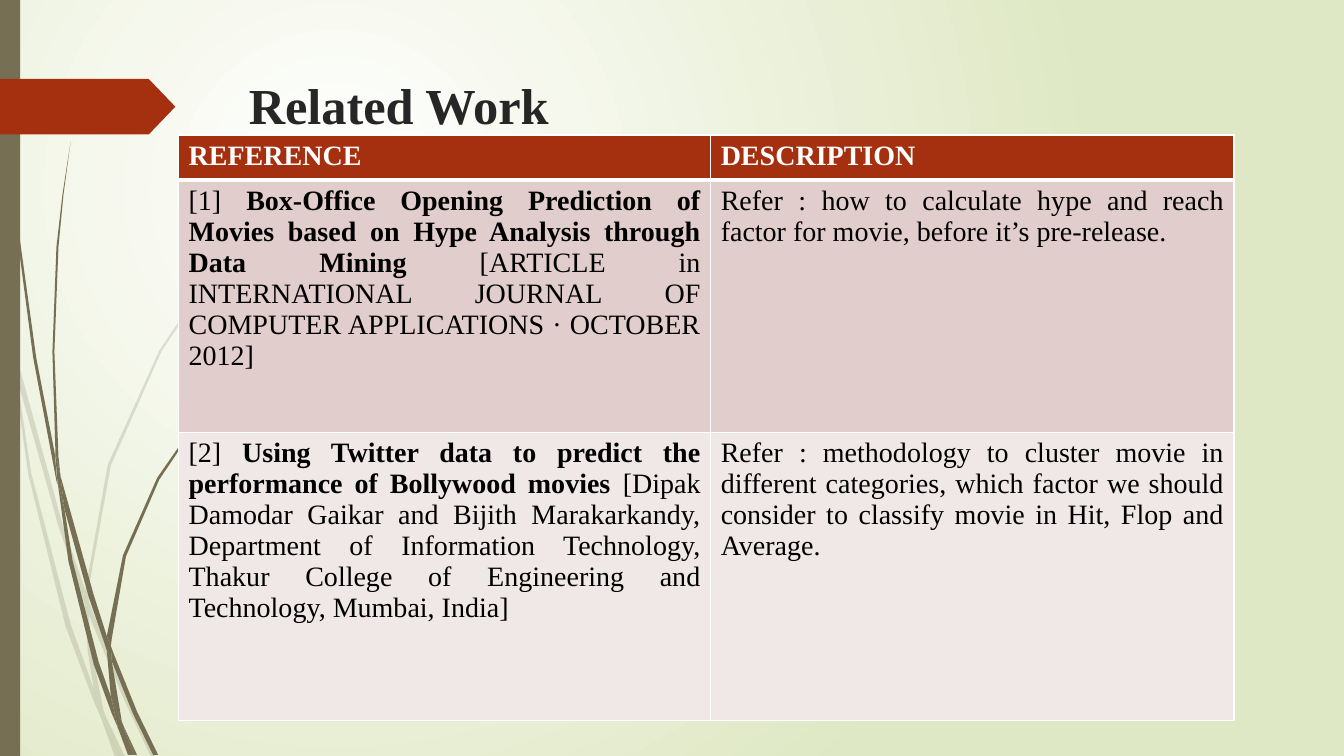
from lxml import etree
from pptx import Presentation
from pptx.dml.color import RGBColor
from pptx.enum.shapes import MSO_SHAPE
from pptx.enum.text import MSO_ANCHOR, PP_ALIGN
from pptx.oxml import parse_xml
from pptx.oxml.ns import nsdecls, qn
from pptx.util import Cm, Pt

RECTANGLE, PENTAGON = MSO_SHAPE.RECTANGLE, MSO_SHAPE.PENTAGON
TOP, JUSTIFY = MSO_ANCHOR.TOP, PP_ALIGN.JUSTIFY
OLIVE, RUST, WHITE, BLACK = "766F54", "A53010", "FFFFFF", "000000"
FONT = "Times New Roman"
BLADE_UNIT = 0.0254

FAINT_BLADES = [
    [(11, 350), (9, 322), (0, 282), (0, 299), (10, 344)],
    [(58, 522), (84, 599), (85, 586), (62, 520), (14, 345), (17, 376)],
    [(92, 607), (88, 596), (88, 610), (123, 694), (150, 751), (155, 751), (127, 692)],
    [(119, 751), (124, 751), (105, 711)],
    [(93, 683), (70, 619), (31, 469), (17, 376), (11, 350), (28, 470), (65, 621), (92, 693),
     (101, 714), (99, 707)],
    [(84, 599), (87, 646), (93, 683), (96, 692), (105, 711), (103, 706), (91, 646), (88, 610),
     (88, 608)],
    [(88, 584), (110, 462), (160, 349), (229, 245), (268, 198), (290, 175), (312, 154), (312, 153),
     (289, 175), (268, 197), (228, 244), (158, 348), (107, 461), (85, 584), (85, 586), (88, 596)],
    [(101, 714), (114, 751), (119, 751)],
    [(88, 608), (88, 610), (88, 596), (85, 586), (84, 599)],
    [(96, 692), (93, 683), (99, 707), (101, 714), (119, 751), (105, 711)],
]
DARK_BLADES = [
    [(7, 110), (17, 233), (33, 355), (56, 477), (57, 481), (55, 457), (55, 453), (36, 355),
     (19, 232), (8, 109), (5, 48), (4, 0), (3, 0), (4, 48)],
    [(88, 592), (106, 645), (106, 633), (106, 631), (93, 590), (60, 472), (64, 505)],
    [(113, 649), (110, 641), (111, 656), (132, 708), (152, 749), (157, 749), (136, 706)],
    [(110, 691), (98, 657), (72, 556), (64, 505), (57, 477), (68, 557), (93, 659), (111, 708),
     (117, 722), (116, 717)],
    [(60, 472), (58, 453), (54, 349), (58, 245), (63, 193), (70, 141), (62, 193), (56, 245),
     (52, 349), (55, 449)],
    [(133, 749), (136, 749), (122, 719)],
    [(57, 477), (64, 505), (60, 472), (55, 449), (55, 453)],
    [(111, 633), (125, 552), (158, 476), (205, 406), (231, 374), (245, 359), (261, 344), (260, 344),
     (245, 358), (231, 373), (204, 405), (156, 474), (122, 551), (106, 631), (110, 641)],
    [(117, 722), (127, 749), (131, 749)],
    [(106, 645), (110, 691), (116, 706), (122, 719), (121, 716), (111, 656), (109, 651)],
    [(106, 645), (109, 651), (111, 656), (110, 641), (106, 631), (106, 633)],
    [(116, 706), (110, 691), (116, 717), (117, 722), (130, 749), (133, 749), (122, 719)],
]
ROWS = [
    (1.14, RUST, WHITE, [[("REFERENCE", True)], [("DESCRIPTION", True)]]),
    (6.36, "E1CDCC", BLACK, [
        [("[1] ", False),
         ("Box-Office Opening Prediction of Movies based on Hype Analysis through Data Mining ", True),
         ("[ARTICLE in INTERNATIONAL JOURNAL OF COMPUTER APPLICATIONS · OCTOBER 2012]", False)],
        [("Refer : how to calculate hype and reach factor for movie, before it’s pre-release.", False)]]),
    (7.25, "F0E8E7", BLACK, [
        [("[2] ", False),
         ("Using Twitter data to predict the performance of Bollywood movies ", True),
         ("[Dipak Damodar Gaikar and Bijith Marakarkandy, Department of Information Technology, "
          "Thakur College of Engineering and Technology, Mumbai, India]", False)],
        [("Refer : methodology to cluster movie in different categories, which factor we should "
          "consider to classify movie in Hit, Flop and Average.", False)]]),
]


def color(value):
    """Turn a hex string into a colour."""
    return RGBColor.from_string(value)


def paint(shape, value):
    """Give a shape a plain fill without line or shadow."""
    shape.shadow.inherit = False
    shape.fill.solid()
    shape.fill.fore_color.rgb = color(value)
    shape.line.fill.background()


def write(para, spans, size, value):
    """Write (text, bold) spans into a paragraph."""
    for text, bold in spans:
        span = para.add_run()
        span.text = text
        for name, setting in {"name": FONT, "size": Pt(size), "bold": bold}.items():
            setattr(span.font, name, setting)
        span.font.color.rgb = color(value)


def backdrop(page):
    """Fill the page with a radial gradient centred in its upper left quarter."""
    fill = page.background.fill
    fill.gradient()
    for stop, value in zip(fill.gradient_stops, (WHITE, "DFE8C4")):
        stop.color.rgb = color(value)
    linear = next(page.element.iter(qn("a:lin")))
    radial = parse_xml(f'<a:path {nsdecls("a")} path="circle"><a:fillToRect '
                       'l="50000" t="50000" r="100000" b="100000"/></a:path>')
    linear.getparent().replace(linear, radial)


def grass(page, left, top, blades, opacity):
    """Draw the pieces of a tuft of grass."""
    for knots in blades:
        outline = [(Cm(left + x * BLADE_UNIT), Cm(top + y * BLADE_UNIT)) for x, y in knots]
        builder = page.shapes.build_freeform(*outline[0])
        builder.add_line_segments(outline[1:], close=True)
        blade = builder.convert_to_shape()
        paint(blade, OLIVE)
        if opacity < 100:
            tint = next(blade.element.spPr.iter(qn("a:srgbClr")))
            etree.SubElement(tint, qn("a:alpha")).set("val", str(opacity * 1000))


def side_band(page, left, top, width, height):
    """Draw the edge strip and the arrow tab pointing at the title."""
    strip = page.shapes.add_shape(RECTANGLE, Cm(left), Cm(top), Cm(width), Cm(height))
    paint(strip, OLIVE)
    tab = page.shapes.add_shape(PENTAGON, Cm(left), Cm(top + 1.99), Cm(4.42), Cm(1.4))
    tab.adjustments[0] = 0.48
    paint(tab, RUST)


def title(page, left, top, width, height):
    """Place the slide title."""
    box = page.shapes.add_textbox(Cm(left), Cm(top), Cm(width), Cm(height))
    frame = box.text_frame
    frame.word_wrap = True
    frame.vertical_anchor = TOP
    write(frame.paragraphs[0], [("Related Work", True)], 36, "262626")


def set_borders(cell, top, bottom):
    """Draw white borders round a cell, with given top and bottom widths."""
    properties = cell._tc.get_or_add_tcPr()
    widths = {"lnL": 1, "lnR": 1, "lnT": top, "lnB": bottom}
    for place, (side, width) in enumerate(widths.items()):
        properties.insert(place, parse_xml(
            f'<a:{side} {nsdecls("a")} w="{Pt(width)}"><a:solidFill>'
            f'<a:srgbClr val="{WHITE}"/></a:solidFill></a:{side}>'))


def reference_table(page, left, top, widths):
    """Build the table of references and what each is used for."""
    heights = [row[0] for row in ROWS]
    table = page.shapes.add_table(len(ROWS), len(widths), Cm(left), Cm(top),
                                  Cm(sum(widths)), Cm(sum(heights))).table
    for column, width in zip(table.columns, widths):
        column.width = Cm(width)
    for index, (height, fill, ink, texts) in enumerate(ROWS):
        table.rows[index].height = Cm(height)
        for cell, spans in zip(table.rows[index].cells, texts):
            cell.fill.solid()
            cell.fill.fore_color.rgb = color(fill)
            set_borders(cell, 3 if index == 1 else 1, 3 if index == 0 else 1)
            para = cell.text_frame.paragraphs[0]
            para.alignment = JUSTIFY
            write(para, spans, 20, ink)


def main():
    """Build the deck and save it."""
    deck = Presentation()
    deck.slide_width, deck.slide_height = Cm(33.87), Cm(19.05)
    page = deck.slides.add_slide(deck.slide_layouts[6])
    backdrop(page)
    grass(page, 0, 0, FAINT_BLADES, 20)
    grass(page, 0, 0, DARK_BLADES, 100)
    side_band(page, 0, 0, 0.51, 19.05)
    title(page, 6.02, 1.75, 25.93, 3.1)
    reference_table(page, 4.5, 3.4, [13.41, 13.19])
    deck.save("out.pptx")


if __name__ == "__main__":
    main()
